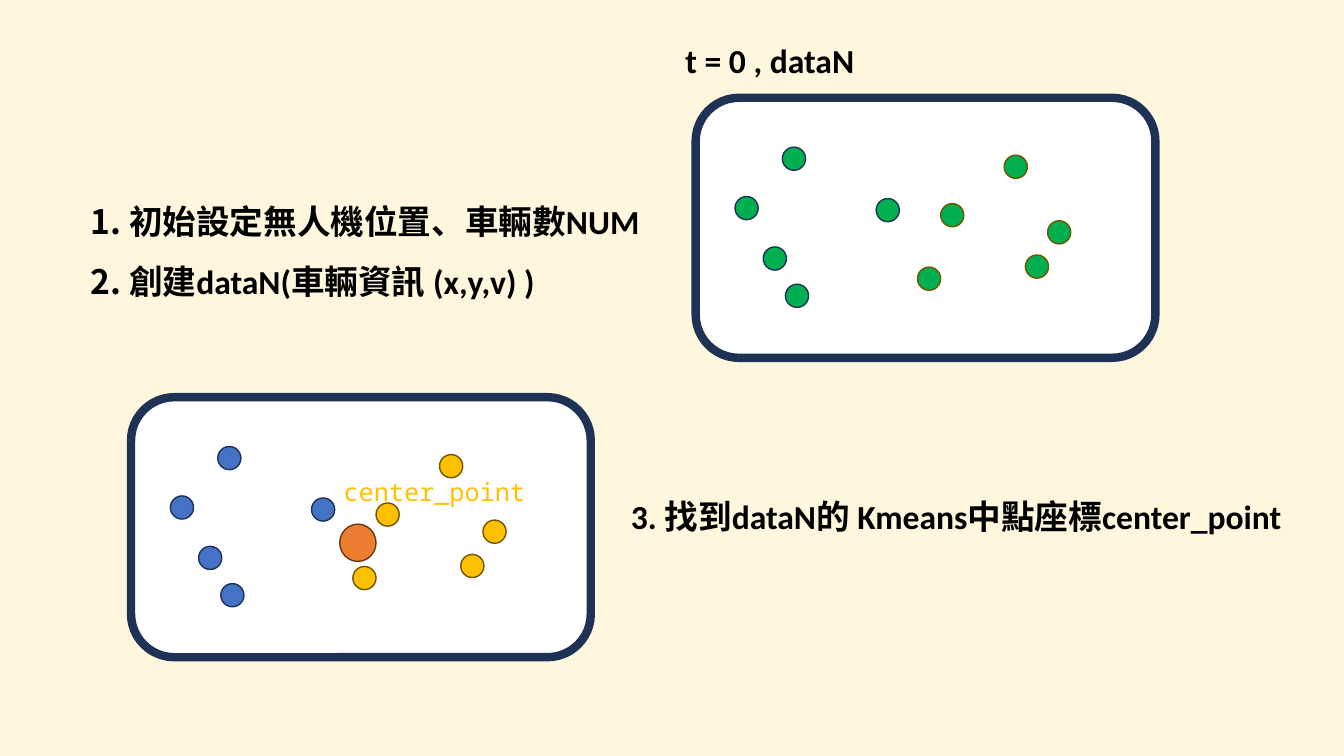
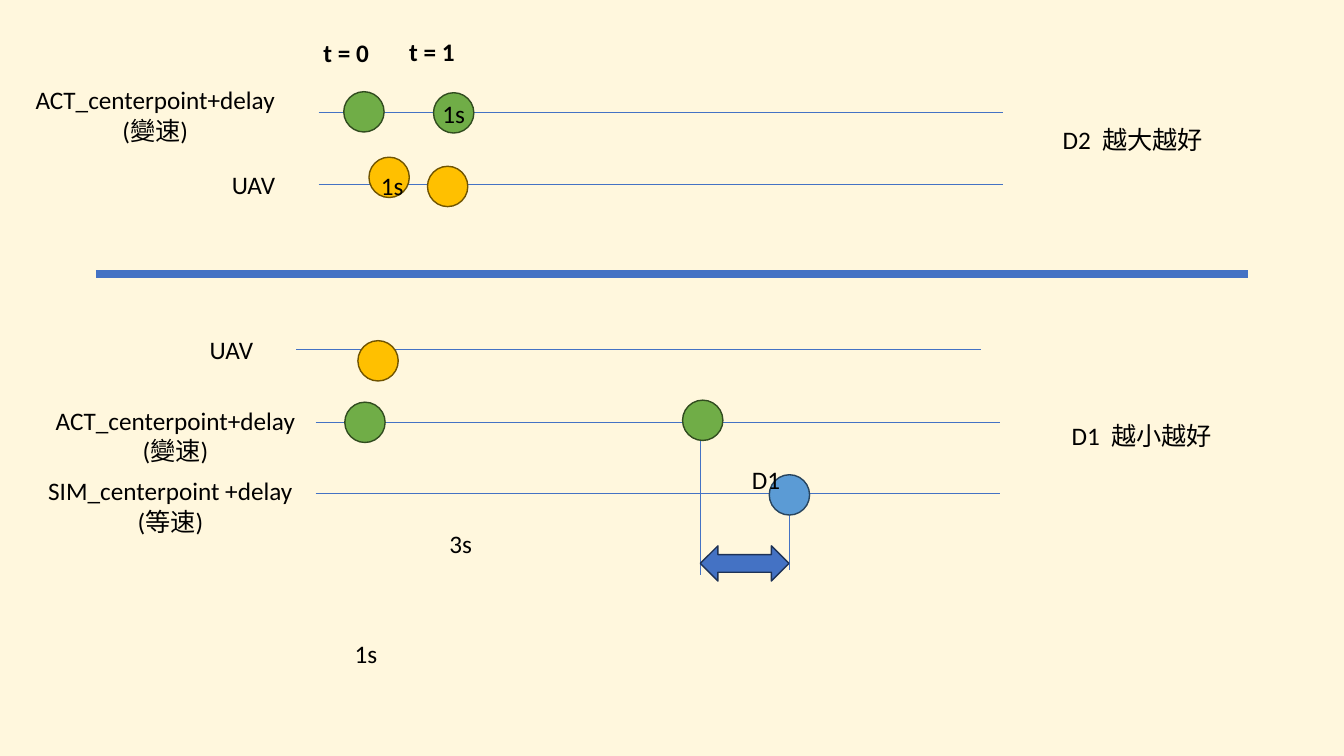
import pptx
import pptx.util
import pptx.dml.color
import pptx.enum.shapes
import pptx.enum.text
import lxml.etree
from pptx.oxml.ns import qn

Inches, Pt = pptx.util.Inches, pptx.util.Pt
SHAPE = pptx.enum.shapes.MSO_SHAPE
ALIGN = pptx.enum.text.PP_ALIGN
rgb = pptx.dml.color.RGBColor.from_string

CREAM, WHITE, BLACK = "FFF7DD", "FFFFFF", "000000"
NAVY, BLUE, SKY, SKY_EDGE = "1E3256", "4472C4", "5B9BD5", "28445D"
GOLD, GOLD_EDGE = "FFC000", "705400"
GREEN, GREEN_EDGE, BRIGHT_GREEN = "70AD47", "314C1F", "00B050"
ORANGE, ORANGE_EDGE = "ED7D31", "683715"


def add_shape(s, kind, box, fill, edge, width=1):
    """Add a filled, outlined preset shape; box is in inches."""
    sp = s.shapes.add_shape(kind, *map(Inches, box))
    sp.shadow.inherit = False
    sp.fill.solid()
    sp.fill.fore_color.rgb = rgb(fill)
    sp.line.color.rgb = rgb(edge)
    sp.line.width = Pt(width)
    return sp


def add_text(s, box, lines, size=18, bold=False, align=ALIGN.LEFT,
             font="Calibri", color=BLACK):
    """Add a wrapping text box with one paragraph per line."""
    tf = s.shapes.add_textbox(*map(Inches, box)).text_frame
    tf.word_wrap = True
    tf.text = "\n".join(lines)
    for p in tf.paragraphs:
        p.alignment = align
        p.font.name, p.font.size, p.font.bold = font, Pt(size), bold
        p.font.color.rgb = rgb(color)


prs = pptx.Presentation()
prs.slide_width, prs.slide_height = Inches(13.33), Inches(7.5)
background = prs.slide_master.background.fill
background.solid()
background.fore_color.rgb = rgb(CREAM)

# Slide 1: vehicles before and after clustering
s = prs.slides.add_slide(prs.slide_layouts[1])
title = s.shapes.title
title.element.getparent().remove(title.element)

steps = s.placeholders[1]
steps.left, steps.top = Inches(0.8), Inches(1.74)
steps.width, steps.height = Inches(5.81), Inches(1.25)
tf = steps.text_frame
tf.text = "初始設定無人機位置、車輛數NUM\n創建dataN(車輛資訊 (x,y,v) )"
for p in tf.paragraphs:
    p.line_spacing = 1.5
    p.space_before = Pt(0)
    p.font.name, p.font.size, p.font.bold = "Calibri", Pt(24), True
    p.font.color.rgb = rgb(BLACK)
    pPr = p._p.get_or_add_pPr()
    pPr.set("marL", str(Inches(0.38)))
    pPr.set("indent", str(-Inches(0.38)))
    number = lxml.etree.Element(qn("a:buAutoNum"), type="arabicPeriod")
    pPr.find(qn("a:defRPr")).addprevious(number)

# Vehicle positions measured from the panel's corner
left_cluster = [(0.86, 0.49), (0.39, 0.98), (1.79, 1.0), (0.67, 1.48), (0.89, 1.85)]
right_cluster = [(2.2, 1.68), (3.06, 0.57), (3.27, 1.56), (2.43, 1.05), (3.49, 1.22)]
panels = [(1.3, 3.94, BLUE, GOLD), (6.9, 0.97, BRIGHT_GREEN, BRIGHT_GREEN)]
for x, y, left_fill, right_fill in panels:
    add_shape(s, SHAPE.ROUNDED_RECTANGLE, (x, y, 4.56, 2.58), WHITE, NAVY, 6)
    for cluster, fill, edge in [(left_cluster, left_fill, NAVY),
                                (right_cluster, right_fill, GOLD_EDGE)]:
        for dx, dy in cluster:
            add_shape(s, SHAPE.OVAL, (x + dx, y + dy, 0.23, 0.23), fill, edge)
add_shape(s, SHAPE.OVAL, (3.37, 5.2, 0.36, 0.37), ORANGE, ORANGE_EDGE)

add_text(s, (3.31, 4.68, 2.16, 0.4), ["center_point"],
         font="Noto Sans Mono", color=GOLD)
add_text(s, (6.7, 0.35, 3.27, 0.5), ["t = 0 , dataN"], 24, True)
add_text(s, (6.16, 4.87, 6.67, 0.5),
         ["3. 找到dataN的 Kmeans中點座標center_point"], 24, True)

# Slide 2: timelines of the centre points and the UAV
s = prs.slides.add_slide(prs.slide_layouts[6])
timelines = [(x, y, x + 6.79, y, 0.5) for x, y in
             [(3.16, 1.11), (3.16, 1.83), (2.94, 3.47), (3.13, 4.19), (3.13, 4.89)]]
markers = [(6.95, 4.38, 6.95, 5.7, 0.5), (7.83, 5.06, 7.83, 5.65, 0.5)]
divider = (0.95, 2.72, 12.38, 2.72, 6)
for *ends, width in timelines + markers + [divider]:
    line = s.shapes.add_connector(pptx.enum.shapes.MSO_CONNECTOR.STRAIGHT,
                                  *map(Inches, ends))
    line.line.color.rgb = rgb(BLUE)
    line.line.width = Pt(width)
    lxml.etree.SubElement(line._element.spPr, qn("a:effectLst"))

events = [
    (GREEN, GREEN_EDGE, [(3.41, 0.91), (4.3, 0.92), (3.42, 3.99), (6.77, 3.97)]),
    (GOLD, GOLD_EDGE, [(3.66, 1.56), (4.24, 1.65), (3.55, 3.38)]),
    (SKY, SKY_EDGE, [(7.63, 4.71)]),
]
for fill, edge, places in events:
    for x, y in places:
        add_shape(s, SHAPE.OVAL, (x, y, 0.4, 0.4), fill, edge)

gap_arrow = add_shape(s, SHAPE.UP_DOWN_ARROW, (7.21, 5.15, 0.35, 0.88), BLUE, NAVY)
gap_arrow.rotation = 90

row_labels = [
    (0.12, 0.79, 2.84, ["ACT_centerpoint+delay", "(變速)"]),
    (2.16, 1.63, 0.71, ["UAV"]),
    (1.94, 3.27, 0.71, ["UAV"]),
    (0.32, 3.97, 2.84, ["ACT_centerpoint+delay", "(變速)"]),
    (0.17, 4.67, 3.04, ["SIM_centerpoint +delay", "(等速)"]),
]
for x, y, width, lines in row_labels:
    add_text(s, (x, y, width, 0.09 + 0.31 * len(lines)), lines, align=ALIGN.CENTER)

notes = [
    (3.11, 0.32, 0.85, "t = 0", True), (3.96, 0.31, 0.85, "t = 1", True),
    (10.44, 1.18, 1.61, "D2  越大越好", False),
    (10.53, 4.12, 1.61, "D1  越小越好", False),
    (7.36, 4.56, 0.49, "D1", False), (4.36, 5.19, 0.54, "3s", False),
    (3.68, 1.64, 0.54, "1s", False), (4.29, 0.93, 0.54, "1s", False),
    (3.42, 6.28, 0.54, "1s", False),
]
for x, y, width, text, bold in notes:
    add_text(s, (x, y, width, 0.4), [text], bold=bold)

prs.save("out.pptx")
